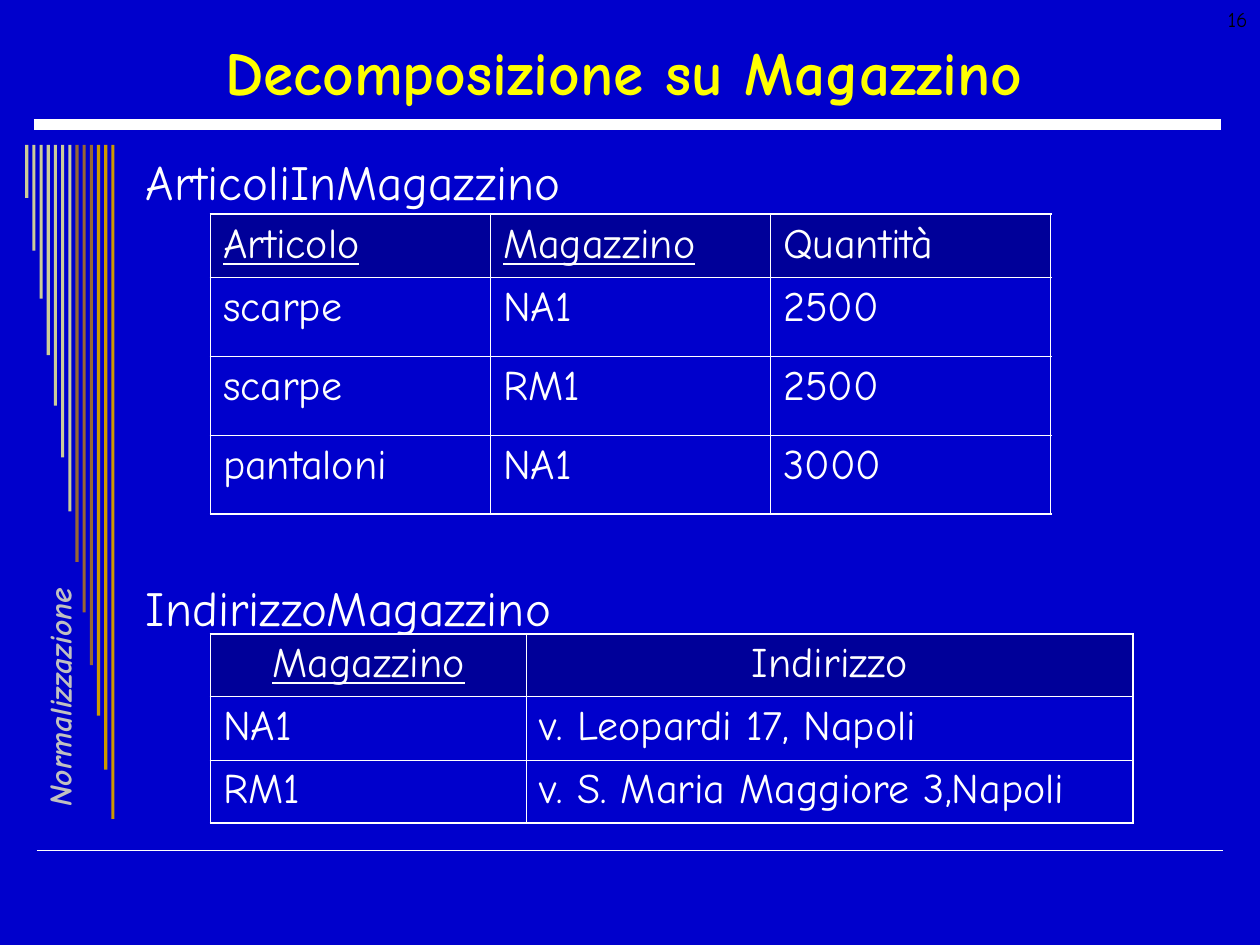
from pptx import Presentation
from pptx.dml.color import RGBColor
from pptx.enum.shapes import MSO_CONNECTOR, MSO_SHAPE
from pptx.enum.text import MSO_ANCHOR, PP_ALIGN
from pptx.oxml.ns import qn
from pptx.util import Inches, Pt
from lxml import etree

STRAIGHT = MSO_CONNECTOR.STRAIGHT
RECTANGLE = MSO_SHAPE.RECTANGLE
TOP, MIDDLE = MSO_ANCHOR.TOP, MSO_ANCHOR.MIDDLE
LEFT, CENTER, RIGHT = PP_ALIGN.LEFT, PP_ALIGN.CENTER, PP_ALIGN.RIGHT

BLUE = RGBColor(0x00, 0x00, 0xCC)
NAVY = RGBColor(0x00, 0x00, 0x99)
WHITE = RGBColor(0xFF, 0xFF, 0xFF)
BLACK = RGBColor(0x00, 0x00, 0x00)
YELLOW = RGBColor(0xFF, 0xFF, 0x00)
SILVER = RGBColor(0xC0, 0xC0, 0xC0)
SAND = RGBColor(0xCC, 0xCC, 0x99)
BROWN = RGBColor(0x99, 0x66, 0x33)
GOLD = RGBColor(0xCC, 0x99, 0x00)

COLUMNS, ROWS = 100, 75
OUTER, INNER = 1.08, 0.45


class SlideBuilder:
    """Draws styled elements on one slide, with lengths in grid columns and rows."""

    font = "Comic Neue"

    def __init__(self, deck):
        self.col = deck.slide_width / COLUMNS
        self.row = deck.slide_height / ROWS
        self.slide = deck.slides.add_slide(deck.slide_layouts[6])
        fill = self.slide.background.fill
        fill.solid()
        fill.fore_color.rgb = BLUE

    def place(self, x, y, width, height):
        return (round(x * self.col), round(y * self.row),
                round(width * self.col), round(height * self.row))

    def run(self, paragraph, words, size, color, bold=None, italic=None, underline=None):
        run = paragraph.add_run()
        run.text = words
        font = run.font
        font.name, font.size, font.color.rgb = self.font, Pt(size), color
        font.bold, font.italic, font.underline = bold, italic, underline

    def text(self, area, lines, size, color, align=LEFT, anchor=TOP,
             gap=0, wrap=True, rotation=0, **emphasis):
        box = self.slide.shapes.add_textbox(*self.place(*area))
        box.rotation = rotation
        frame = box.text_frame
        frame.word_wrap, frame.vertical_anchor = wrap, anchor
        for index, words in enumerate(lines):
            paragraph = frame.add_paragraph() if index else frame.paragraphs[0]
            paragraph.alignment = align
            if index:
                paragraph.space_before = Pt(gap)
            self.run(paragraph, words, size, color, **emphasis)

    def rule(self, x, y, width, weight):
        left, top, length, _ = self.place(x, y, width, 0)
        line = self.slide.shapes.add_connector(STRAIGHT, left, top, left + length, top)
        line.line.color.rgb = WHITE
        line.line.width = Pt(weight)
        etree.SubElement(line._element.spPr, qn("a:effectLst"))

    def bar(self, area, color):
        bar = self.slide.shapes.add_shape(RECTANGLE, *self.place(*area))
        bar.shadow.inherit = False
        bar.fill.solid()
        bar.fill.fore_color.rgb = color
        bar.line.fill.background()

    def border(self, cell, side, weight):
        line = etree.SubElement(cell._tc.get_or_add_tcPr(), qn("a:ln" + side),
                                w=str(Pt(weight)))
        fill = etree.SubElement(line, qn("a:solidFill"))
        etree.SubElement(fill, qn("a:srgbClr"), val=str(WHITE))

    def table(self, x, y, widths, heights, records, keys, header_align=LEFT):
        area = self.place(x, y, sum(widths), sum(heights))
        table = self.slide.shapes.add_table(len(heights), len(widths), *area).table
        table.first_row = table.horz_banding = False
        for column, width in zip(table.columns, widths):
            column.width = round(width * self.col)
        for row, height in zip(table.rows, heights):
            row.height = round(height * self.row)
        last_row, last_column = len(heights) - 1, len(widths) - 1
        for r, record in enumerate(records):
            for c, words in enumerate(record):
                cell = table.cell(r, c)
                edges = {"L": c == 0, "R": c == last_column,
                         "T": r == 0, "B": r == last_row}
                for side, is_outer in edges.items():
                    self.border(cell, side, OUTER if is_outer else INNER)
                if r == 0:
                    cell.fill.solid()
                    cell.fill.fore_color.rgb = NAVY
                else:
                    cell.fill.background()
                paragraph = cell.text_frame.paragraphs[0]
                paragraph.alignment = LEFT if r else header_align
                self.run(paragraph, words, 24, WHITE,
                         underline=r == 0 and words in keys)


def main():
    deck = Presentation()
    deck.slide_width, deck.slide_height = Inches(10), Inches(7.5)
    page = SlideBuilder(deck)

    page.rule(2.9, 67.5, 94.2, 1)
    page.rule(2.7, 9.9, 94.2, 6)

    bar_heights = [4.2, 8.4, 12.2, 16.7, 20.7, 24.8, 29.1,
                   33.1, 37.1, 41.3, 45.3, 49.6, 53.5]
    bar_colors = [SAND] * 7 + [BROWN] * 3 + [GOLD] * 3
    for index, (height, color) in enumerate(zip(bar_heights, bar_colors)):
        page.bar((2 + 0.57 * index, 11.5, 0.25, height), color)

    page.text((-7.5, 52.4, 22.8, 2.4), ["Normalizzazione"], 18, SILVER,
              wrap=False, rotation=270, bold=True, italic=True)
    page.text((3.5, 2.1, 92.1, 7.1), ["Decomposizione su Magazzino"], 35, YELLOW,
              align=CENTER, anchor=MIDDLE, bold=True)
    page.text((10.6, 11.5, 85.2, 55.1), ["ArticoliInMagazzino", "IndirizzoMagazzino"],
              28, WHITE, gap=210)

    page.table(16.7, 17, [22.23] * 3, [5] + [6.27] * 3, [
        ("Articolo", "Magazzino", "Quantità"),
        ("scarpe", "NA1", "2500"),
        ("scarpe", "RM1", "2500"),
        ("pantaloni", "NA1", "3000"),
    ], keys={"Articolo", "Magazzino"})
    page.table(16.7, 50.3, [25.1, 48.1], [5] * 3, [
        ("Magazzino", "Indirizzo"),
        ("NA1", "v. Leopardi 17, Napoli"),
        ("RM1", "v. S. Maria Maggiore 3,Napoli"),
    ], keys={"Magazzino"}, header_align=CENTER)

    page.text((76.7, 0, 23.3, 5), ["16"], 12, BLACK, align=RIGHT)
    deck.save("out.pptx")


if __name__ == "__main__":
    main()
